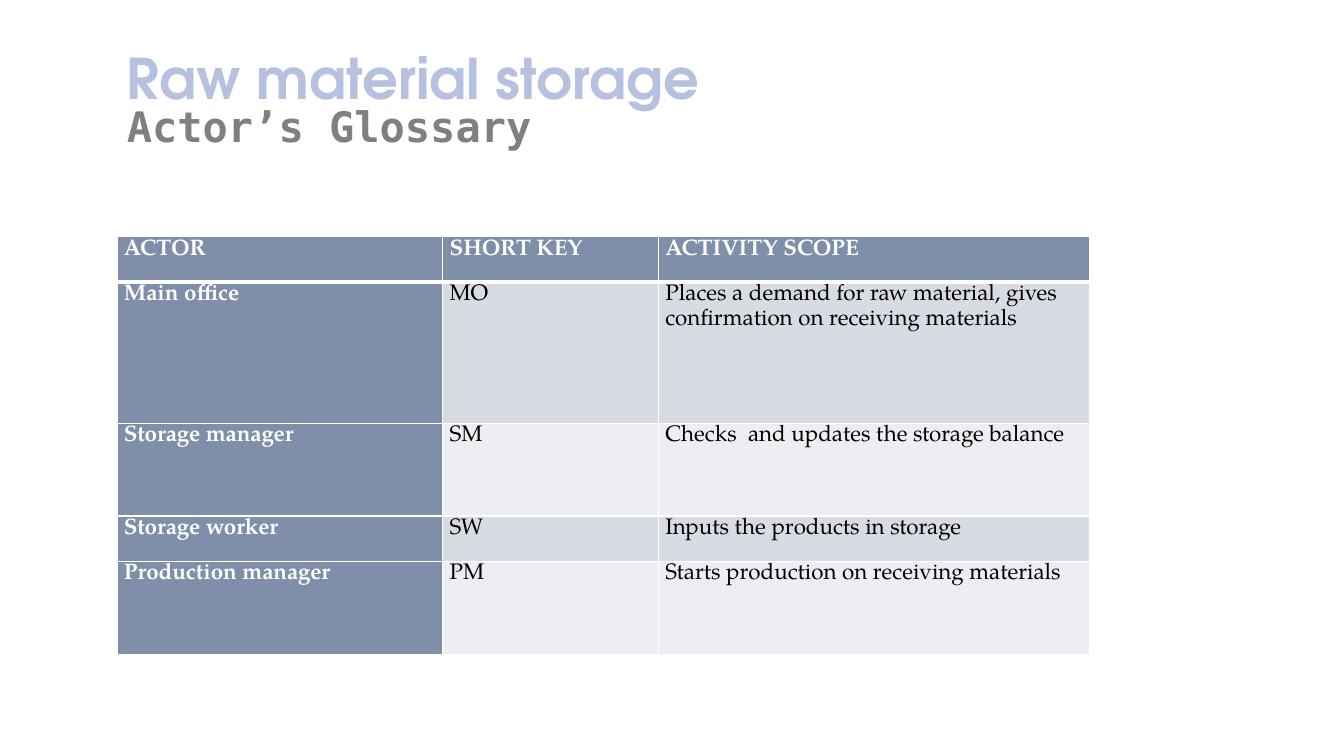
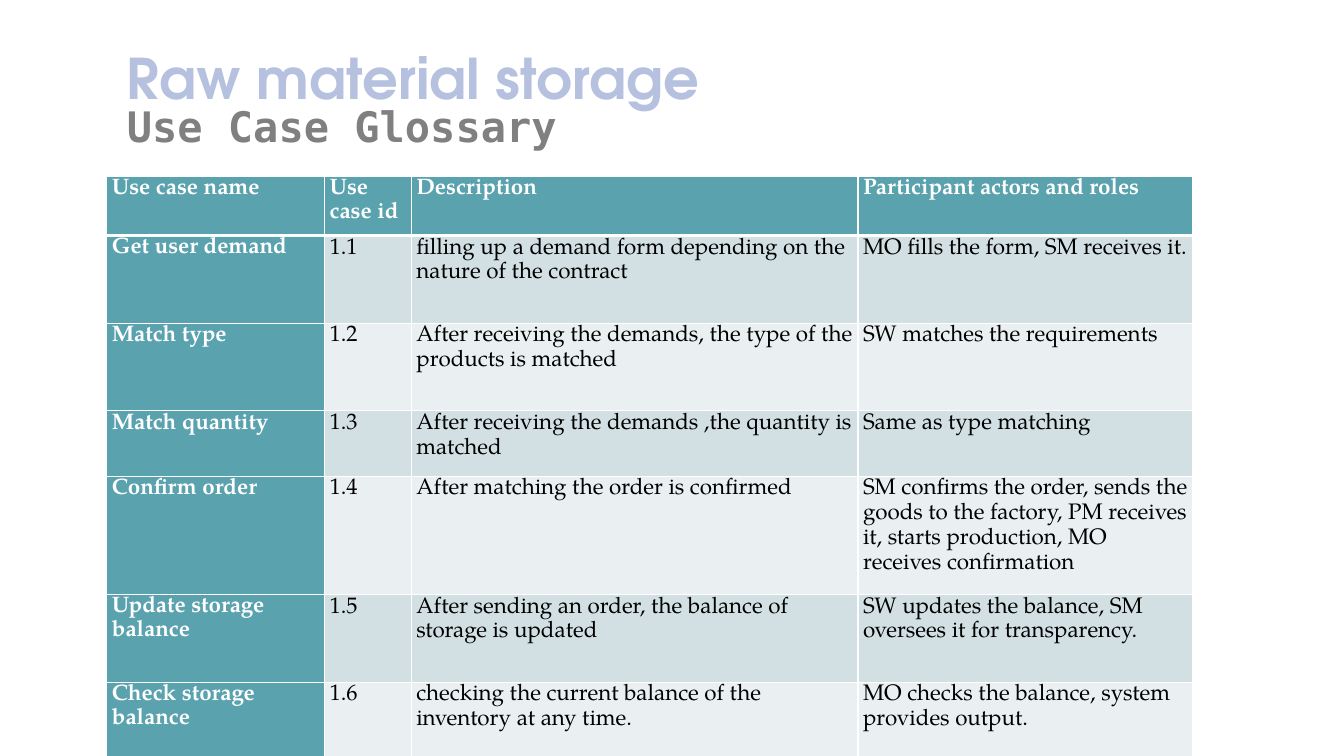
from lxml.etree import SubElement
from pptx import Presentation
from pptx.dml.color import RGBColor
from pptx.enum.text import MSO_ANCHOR
from pptx.oxml.ns import qn
from pptx.util import Inches, Pt

WHITE = RGBColor(0xFF, 0xFF, 0xFF)
BLACK = RGBColor(0x00, 0x00, 0x00)
PERIWINKLE = RGBColor(0xB5, 0xC1, 0xDF)
GRAY = RGBColor(0x80, 0x80, 0x80)
SLATE = RGBColor(0x7F, 0x8F, 0xA9)
SLATE_BANDS = (RGBColor(0xD8, 0xDB, 0xE2), RGBColor(0xEC, 0xEE, 0xF1))
TEAL = RGBColor(0x5A, 0xA2, 0xAE)
TEAL_BANDS = (RGBColor(0xD2, 0xE0, 0xE3), RGBColor(0xEA, 0xF0, 0xF2))

TITLE = "Raw material storage"
TITLE_FONT = {"name": "TeX Gyre Adventor", "size": Pt(40), "bold": True}
SUBTITLE_FONT = {"name": "DejaVu Sans Mono", "size": Pt(30), "bold": True}
CELL_FONT = {"name": "TeX Gyre Pagella", "size": Pt(16)}

SLIDES = [
    {
        "subtitle": "Actor’s Glossary",
        "accent": SLATE, "bands": SLATE_BANDS,
        "left": 1.16, "top": 2.35, "inset": 0.07,
        "widths": [3.23, 2.14, 4.28],
        "heights": [0.45, 1.4, 0.92, 0.45, 0.92],
        "rows": [
            ("ACTOR", "SHORT KEY", "ACTIVITY SCOPE"),
            ("Main office", "MO",
             "Places a demand for raw material, gives confirmation on receiving materials"),
            ("Storage manager", "SM", "Checks  and updates the storage balance"),
            ("Storage worker", "SW", "Inputs the products in storage"),
            ("Production manager", "PM", "Starts production on receiving materials"),
        ],
    },
    {
        "subtitle": "Use Case Glossary",
        "accent": TEAL, "bands": TEAL_BANDS,
        "left": 1.06, "top": 1.75, "inset": 0.05,
        "widths": [2.16, 0.86, 4.43, 3.32],
        "heights": [0.43, 0.87, 0.87, 0.65, 1.09, 0.87, 0.76],
        "rows": [
            ("Use case name", "Use case id", "Description", "Participant actors and roles"),
            ("Get user demand", "1.1",
             "filling up a demand form depending on the nature of the contract",
             "MO fills the form, SM receives it."),
            ("Match type", "1.2",
             "After receiving the demands, the type of the products is matched",
             "SW matches the requirements"),
            ("Match quantity", "1.3",
             "After receiving the demands ,the quantity is matched",
             "Same as type matching"),
            ("Confirm order", "1.4",
             "After matching the order is confirmed",
             "SM confirms the order, sends the goods to the factory, PM receives it, "
             "starts production, MO receives confirmation"),
            ("Update storage balance", "1.5",
             "After sending an order, the balance of storage is updated",
             "SW updates the balance, SM oversees it for transparency."),
            ("Check storage balance", "1.6",
             "checking the current balance of the inventory at any time.",
             "MO checks the balance, system provides output."),
        ],
    },
]


def add_run(p, text, style, color):
    r = p.add_run()
    r.text = text
    for name, value in style.items():
        setattr(r.font, name, value)
    r.font.color.rgb = color


def add_borders(cell, row):
    """Draw white cell edges, heavier between the header and the first row."""
    tc_pr = cell._tc.get_or_add_tcPr()
    widths = {"lnL": 1, "lnR": 1, "lnT": 3 if row == 1 else 1, "lnB": 3 if row == 0 else 1}
    for tag, width in widths.items():
        ln = SubElement(tc_pr, qn(f"a:{tag}"), w=str(Pt(width)))
        SubElement(SubElement(ln, qn("a:solidFill")), qn("a:srgbClr"), val=str(WHITE))


prs = Presentation()
prs.slide_width, prs.slide_height = Inches(13.33), Inches(7.5)

for content in SLIDES:
    s = prs.slides.add_slide(prs.slide_layouts[6])

    tf = s.shapes.add_textbox(Inches(1.16), Inches(0.37), Inches(9.5), Inches(1.17)).text_frame
    tf.word_wrap = True
    tf.vertical_anchor = MSO_ANCHOR.BOTTOM
    p = tf.paragraphs[0]
    p.line_spacing = 0.8
    add_run(p, TITLE, TITLE_FONT, PERIWINKLE)
    p.add_line_break()
    add_run(p, content["subtitle"], SUBTITLE_FONT, GRAY)

    rows, widths, heights = content["rows"], content["widths"], content["heights"]
    table = s.shapes.add_table(
        len(rows), len(widths), Inches(content["left"]), Inches(content["top"]),
        Inches(sum(widths)), Inches(sum(heights))).table
    table.first_col = True
    for column, width in zip(table.columns, widths):
        column.width = Inches(width)
    for table_row, height in zip(table.rows, heights):
        table_row.height = Inches(height)

    for i, texts in enumerate(rows):
        for j, text in enumerate(texts):
            cell = table.cell(i, j)
            is_heading = i == 0 or j == 0
            add_borders(cell, i)
            cell.fill.solid()
            cell.fill.fore_color.rgb = content["accent"] if is_heading else content["bands"][(i - 1) % 2]
            cell.margin_left = cell.margin_right = Inches(content["inset"])
            cell.margin_top = cell.margin_bottom = 0
            p = cell.text_frame.paragraphs[0]
            p.line_spacing = 1.1
            p.space_after = Pt(9)
            add_run(p, text, {**CELL_FONT, "bold": is_heading}, WHITE if is_heading else BLACK)

prs.save("out.pptx")
